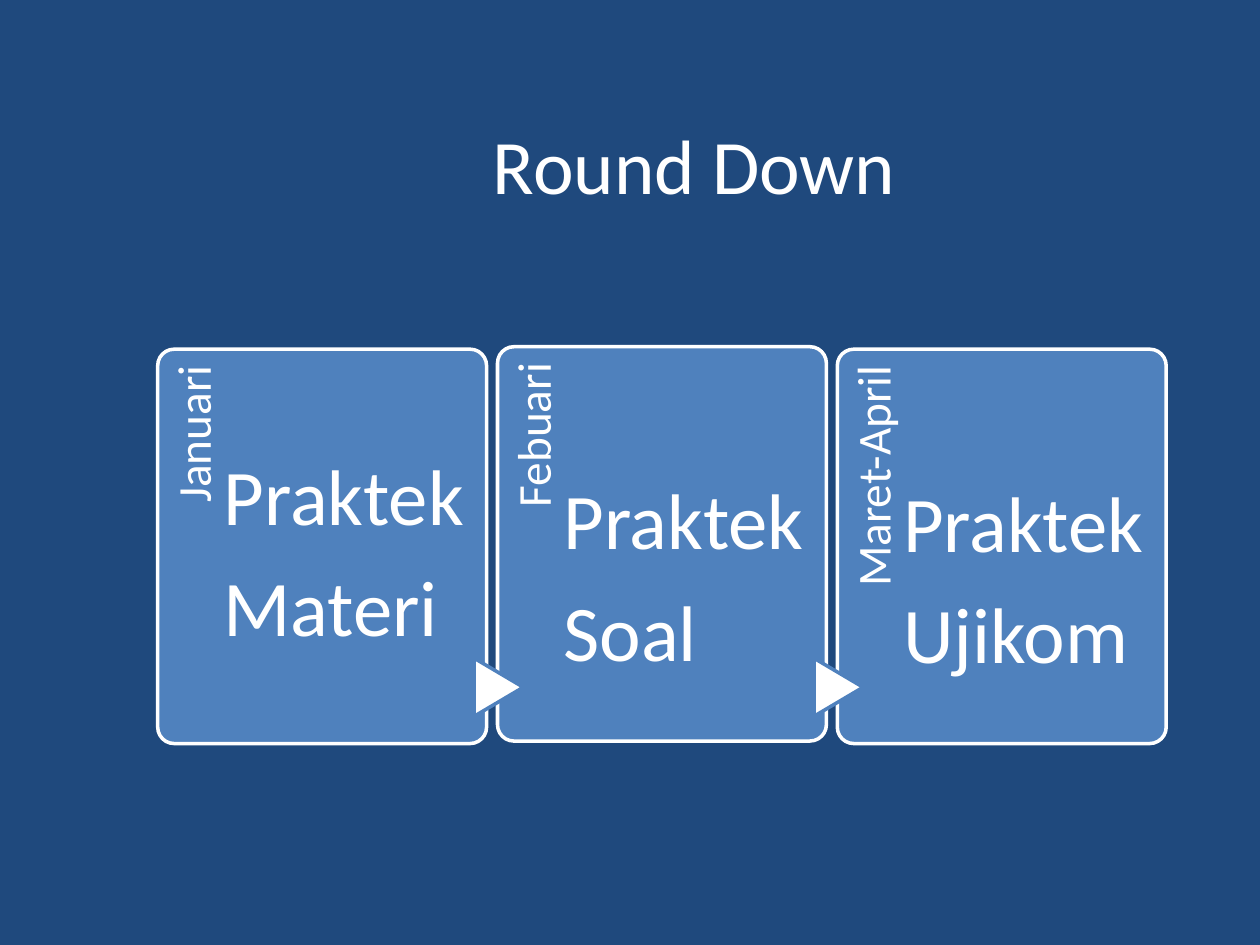
"""Build the Round Down slide: three monthly cards linked by arrowheads."""
from pptx import Presentation
from pptx.dml.color import RGBColor
from pptx.enum.shapes import MSO_SHAPE
from pptx.enum.text import MSO_ANCHOR, PP_ALIGN
from pptx.util import Cm, Pt

CARD = MSO_SHAPE.ROUNDED_RECTANGLE
ARROW = MSO_SHAPE.FLOWCHART_EXTRACT
TOP, MIDDLE = MSO_ANCHOR.TOP, MSO_ANCHOR.MIDDLE
LEFT, CENTER, RIGHT = PP_ALIGN.LEFT, PP_ALIGN.CENTER, PP_ALIGN.RIGHT
NAVY, BLUE, WHITE = "1F497D", "4F81BD", "FFFFFF"


def write(box, lines, size, align, anchor, insets):
    frame = box.text_frame
    frame.word_wrap = True
    frame.vertical_anchor = anchor
    frame.margin_left, frame.margin_top, frame.margin_right, frame.margin_bottom = map(Cm, insets)
    frame.text = "\n".join(lines)
    for para in frame.paragraphs:
        para.alignment = align
        para.line_spacing = 0.9
        para.space_after = Pt(round(size * 0.34))
        para.font.name = "Calibri"
        para.font.size = Pt(size)
        para.font.color.rgb = RGBColor.from_string(WHITE)


def add_block(kind, left, top, width, height, fill, line):
    block = page.shapes.add_shape(kind, Cm(left), Cm(top), Cm(width), Cm(height))
    block.shadow.inherit = False
    block.fill.solid()
    block.fill.fore_color.rgb = RGBColor.from_string(fill)
    block.line.color.rgb = RGBColor.from_string(line)
    block.line.width = Pt(2)
    return block


deck = Presentation()
deck.slide_width, deck.slide_height = Cm(25.4), Cm(19.05)
page = deck.slides.add_slide(deck.slide_layouts[5])
page.background.fill.solid()
page.background.fill.fore_color.rgb = RGBColor.from_string(NAVY)

title = page.shapes.title
title.left, title.top, title.width, title.height = Cm(2.57), Cm(1.7), Cm(22.86), Cm(3.18)
write(title, ["Round Down"], 44, CENTER, MIDDLE, (0.25, 0.13, 0.25, 0.13))
title.text_frame.paragraphs[0].line_spacing = 1.0
title.text_frame.paragraphs[0].space_after = Pt(0)

months = [
    ("Januari", ["Praktek", "Materi"], 7.04, 2.18),
    ("Febuari", ["Praktek", "Soal"], 6.99, 2.72),
    ("Maret-April", ["Praktek", "Ujikom"], 7.04, 2.72),
]
for index, (month, tasks, top, inset) in enumerate(months):
    left = 3.18 + index * 6.85
    card = add_block(CARD, left, top, 6.63, 7.95, BLUE, WHITE)
    card.adjustments[0] = 0.05

    label = page.shapes.add_textbox(Cm(left - 2.59), Cm(top + 2.59), Cm(6.5), Cm(1.32))
    label.rotation = 270
    write(label, [month], 27, RIGHT, TOP, (0, 0.25, 0.33, 0))

    if index:
        arrow = add_block(ARROW, left - 0.56, 13.36, 1.17, 0.99, WHITE, BLUE)
        arrow.rotation = 90

    body = page.shapes.add_textbox(Cm(left + 1.33), Cm(top), Cm(4.93), Cm(7.95))
    write(body, tasks, 45, LEFT, TOP, (0, inset, 0, 0))

deck.save("out.pptx")
